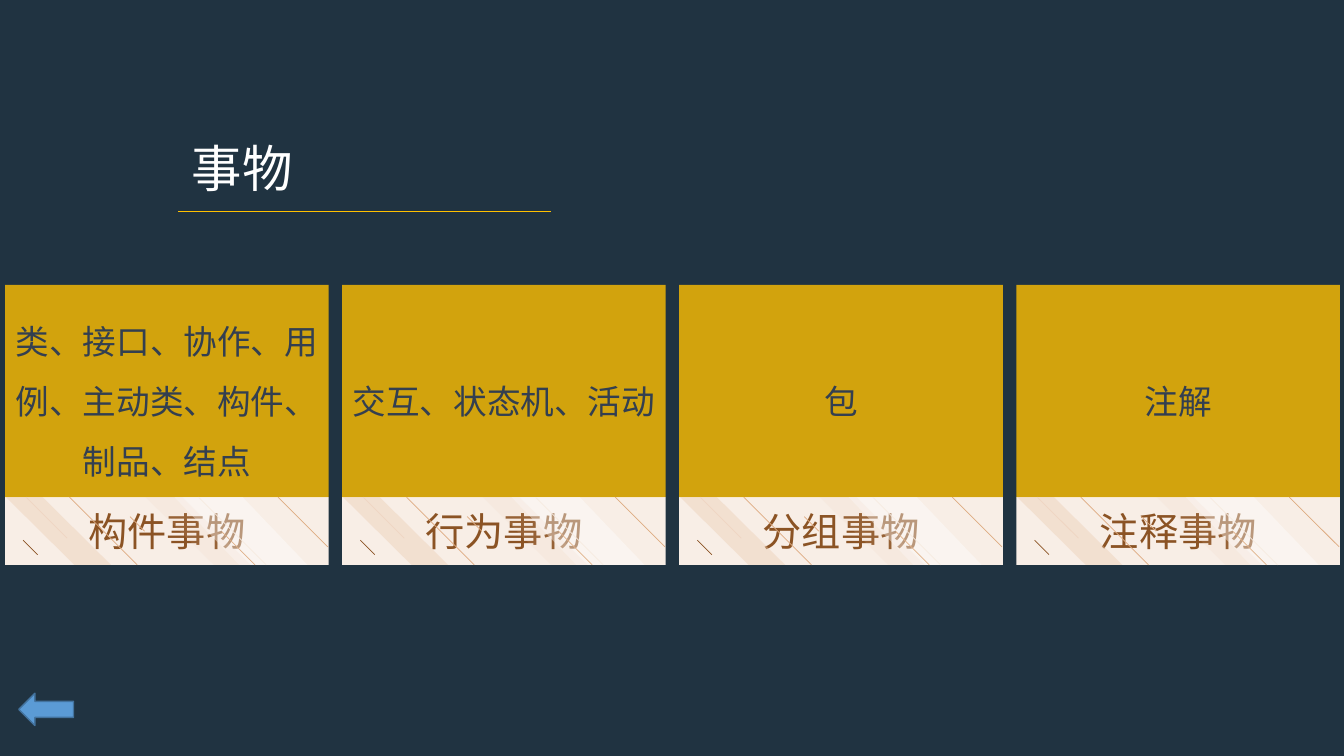
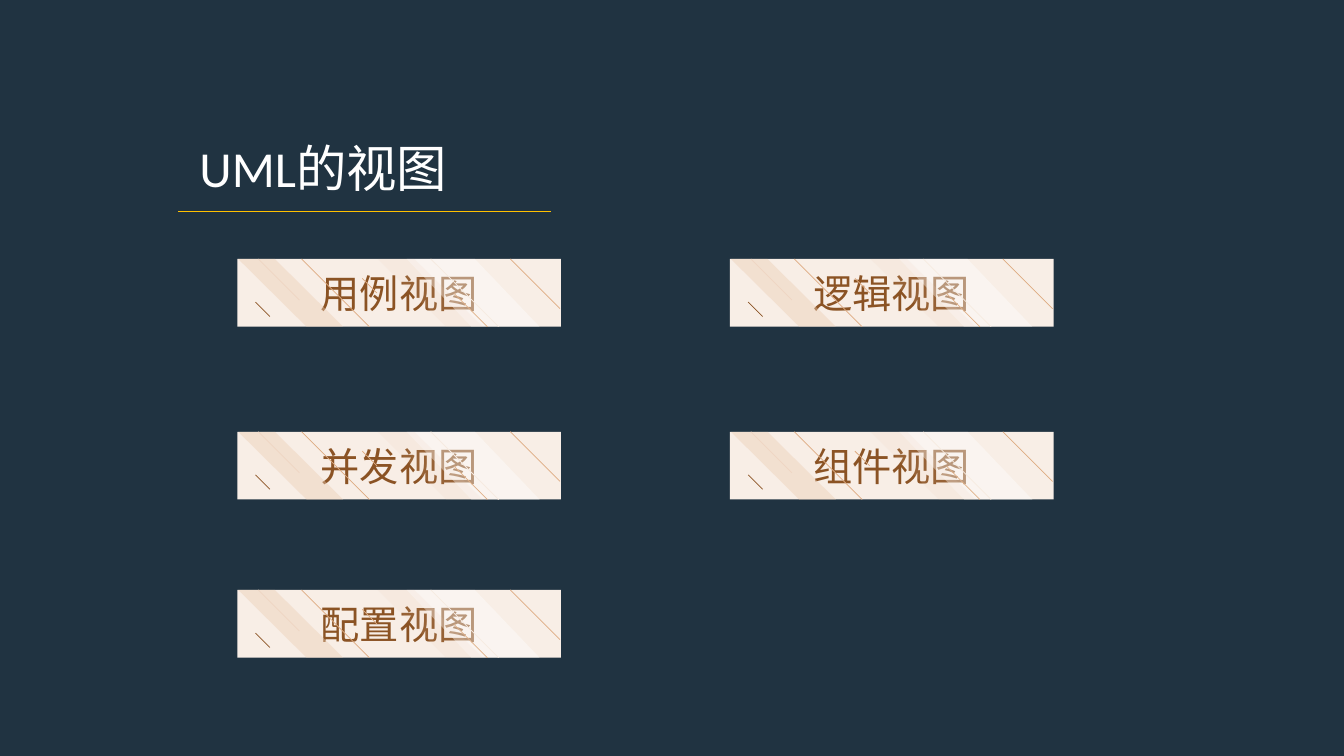
from lxml.etree import SubElement
from pptx import Presentation
from pptx.dml.color import RGBColor
from pptx.enum.shapes import MSO_CONNECTOR as CONN, MSO_SHAPE as SHAPE
from pptx.enum.text import MSO_ANCHOR as ANCHOR, PP_ALIGN as ALIGN
from pptx.oxml.ns import qn
from pptx.util import Pt

# Colours
NAVY = RGBColor(0x20, 0x33, 0x41)
WHITE = RGBColor(0xFF, 0xFF, 0xFF)
GOLD = RGBColor(0xFF, 0xC0, 0x00)
SLATE = RGBColor(0x33, 0x3F, 0x50)
CREAM = RGBColor(0xF8, 0xEE, 0xE6)
BROWN = RGBColor(0x8B, 0x53, 0x24)
PALE = RGBColor(0xF2, 0xDD, 0xCD)
TAN = RGBColor(0xDE, 0xAB, 0x81)
ORANGE = RGBColor(0xCC, 0x7D, 0x3B)
SAND = RGBColor(0xEB, 0xCD, 0xB3)
MIST = RGBColor(0xFE, 0xFF, 0xFF)
BLUE = RGBColor(0x5B, 0x9B, 0xD5)
DARK_BLUE = RGBColor(0x43, 0x73, 0x9E)

FONT = "Calibri"
BAND_W, BAND_H = 231.2, 48.4
BODY_H = 151.6

# Diagonal strokes of a band: x, y, run (45 degrees), colour
STROKES = [
    (15, 0, 29.3, PALE),
    (46, 0, 48.4, TAN),
    (89.3, 13.9, 10.4, TAN),
    (154.8, 24.6, 23.8, ORANGE),
    (195, 0, 35.5, TAN),
    (138.2, 0, 48.4, PALE),
    (13, 30.8, 10.3, BROWN),
]
# Slanted stripes of a band: x, width, slant, colour, opacity in percent
STRIPES = [
    (121, 95, 0.955, MIST, 40),
    (0.7, 75, 1.009, SAND, 42),
    (100.4, 75, 1.009, SAND, 13),
]

# Slide 1 content: band label, body text
THINGS = [
    ("构件事物", "类、接口、协作、用例、主动类、构件、制品、结点"),
    ("行为事物", "交互、状态机、活动"),
    ("分组事物", "包"),
    ("注释事物", "注解"),
]
# Slide 2 content, row by row
VIEWS = [["用例视图", "逻辑视图"], ["并发视图", "组件视图"], ["配置视图"]]
VIEW_COLS = [169.5, 521.4]
VIEW_ROWS = [185, 308.4, 421.4]


def add_box(shapes, kind, x, y, w, h, color, opacity=100):
    sp = shapes.add_shape(kind, Pt(x), Pt(y), Pt(w), Pt(h))
    sp.shadow.inherit = False
    sp.fill.solid()
    sp.fill.fore_color.rgb = color
    sp.line.fill.background()
    if opacity < 100:
        clr = sp.element.spPr.find(qn("a:solidFill")).find(qn("a:srgbClr"))
        SubElement(clr, qn("a:alpha")).set("val", str(opacity * 1000))
    return sp


def add_line(shapes, x1, y1, x2, y2, color, width):
    line = shapes.add_connector(CONN.STRAIGHT, Pt(x1), Pt(y1), Pt(x2), Pt(y2))
    line.line.color.rgb = color
    line.line.width = Pt(width)
    SubElement(line.element.spPr, qn("a:effectLst"))


def write(sp, text, size, color, spacing=1.0, anchor=ANCHOR.MIDDLE):
    tf = sp.text_frame
    tf.word_wrap = True
    tf.vertical_anchor = anchor
    p = tf.paragraphs[0]
    p.text = text
    p.alignment = ALIGN.CENTER
    p.line_spacing = spacing
    p.font.name = FONT
    p.font.size = Pt(size)
    p.font.color.rgb = color


def add_band(s, x, y, label, body=None):
    """Patterned label band with its top left at (x, y); a body sits on top of it."""
    shapes = s.shapes.add_group_shape().shapes
    write(add_box(shapes, SHAPE.RECTANGLE, x, y, BAND_W, BAND_H, CREAM), label, 28, BROWN)
    if body:
        panel = add_box(shapes, SHAPE.RECTANGLE, x, y - BODY_H, BAND_W, BODY_H, GOLD, 80)
        write(panel, body, 24, SLATE, spacing=1.5)
    for dx, dy, run, color in STROKES:
        add_line(shapes, x + dx, y + dy, x + dx + run, y + dy + run, color, 0.5)
    for dx, w, slant, color, opacity in STRIPES:
        stripe = add_box(shapes, SHAPE.PARALLELOGRAM, x + dx, y, w, BAND_H, color, opacity)
        stripe.adjustments[0] = slant
        stripe.element.spPr.find(qn("a:xfrm")).set("flipH", "1")


def add_title(s, text, width):
    add_line(s.shapes, 127.4, 151.2, 393.8, 151.2, GOLD, 1)
    box = s.shapes.add_textbox(Pt(118), Pt(94.3), Pt(width), Pt(51))
    write(box, text, 36, WHITE, anchor=ANCHOR.TOP)


def new_slide(prs, title, title_width):
    s = prs.slides.add_slide(prs.slide_layouts[6])
    s.background.fill.solid()
    s.background.fill.fore_color.rgb = NAVY
    add_title(s, title, title_width)
    return s


def things_slide(prs):
    s = new_slide(prs, "事物", 110)
    for i, (label, body) in enumerate(THINGS):
        add_band(s, 3.6 + i * 240.8, 355.1, label, body)
    # Back arrow
    arrow = add_box(s.shapes, SHAPE.LEFT_ARROW, 13.5, 495.2, 39, 23, BLUE)
    arrow.line.color.rgb = DARK_BLUE
    arrow.line.width = Pt(1)


def views_slide(prs):
    s = new_slide(prs, "UML的视图", 226)
    for y, row in zip(VIEW_ROWS, VIEWS):
        for x, label in zip(VIEW_COLS, row):
            add_band(s, x, y, label)


def main():
    prs = Presentation()
    prs.slide_width, prs.slide_height = Pt(960), Pt(540)
    things_slide(prs)
    views_slide(prs)
    prs.save("out.pptx")


if __name__ == "__main__":
    main()
